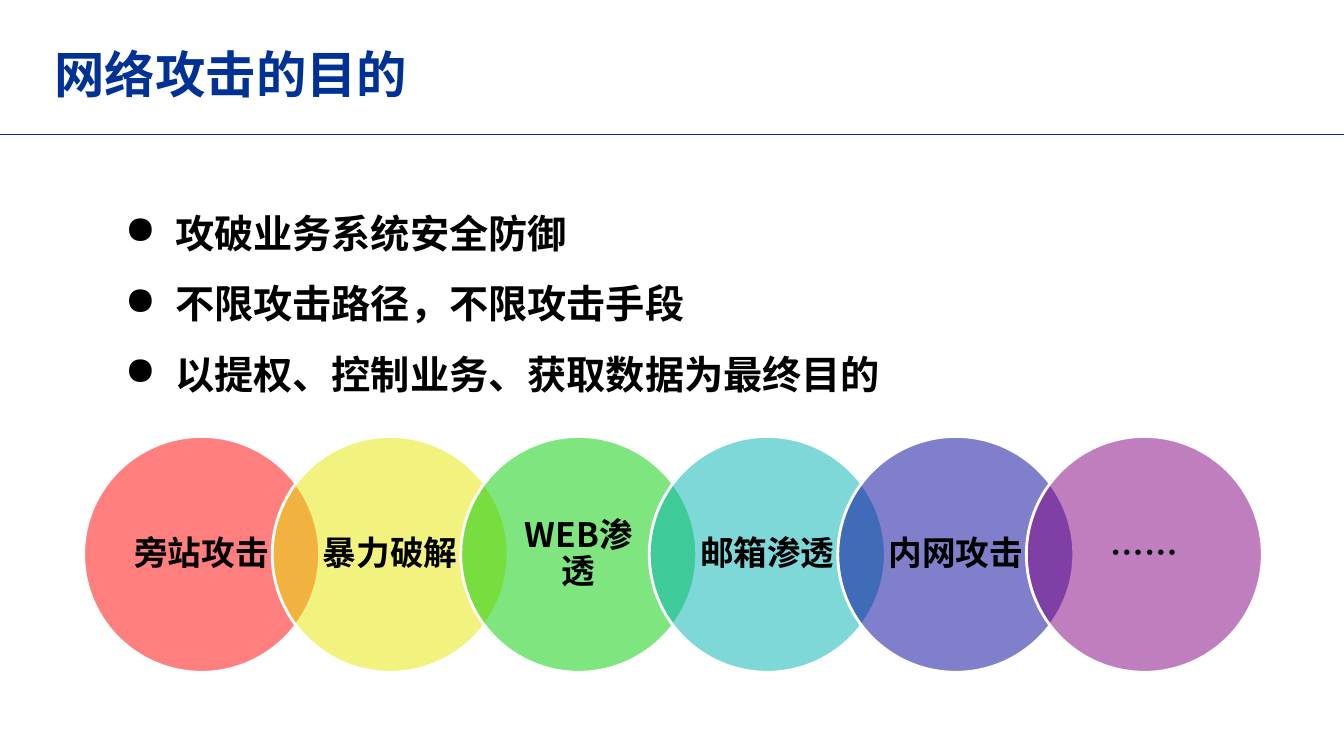
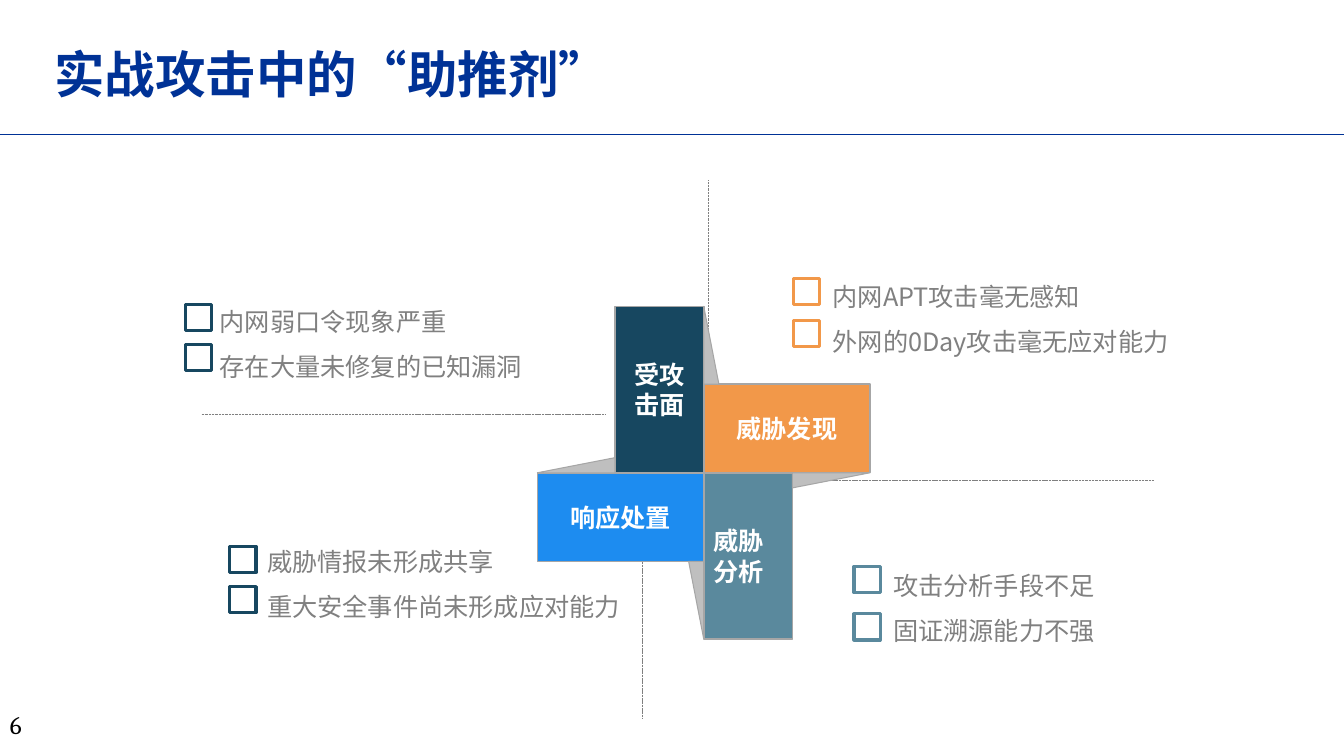
from pptx import Presentation
from pptx.dml.color import RGBColor
from pptx.enum.dml import MSO_LINE
from pptx.enum.shapes import MSO_CONNECTOR, MSO_SHAPE
from pptx.enum.text import MSO_ANCHOR, MSO_AUTO_SIZE, PP_ALIGN
from pptx.oxml.ns import qn
from pptx.util import Inches, Pt
from lxml.etree import SubElement

HUES = {
    "blue": "003296", "black": "000000", "white": "FFFFFF", "gray": "808080",
    "edge": "A6A6A6", "fold": "BFBFBF", "navy": "174760", "teal": "5A899D",
    "sky": "1D8CF0", "orange": "F29849",
    "red": "FF0000", "yellow": "E6E600", "green": "00CC00",
    "cyan": "00B3B3", "indigo": "000099", "purple": "800080",
}
SANS = "Noto Sans CJK SC"
RINGS = [("旁站攻击", "red"), ("暴力破解", "yellow"), ("WEB渗透", "green"),
         ("邮箱渗透", "cyan"), ("内网攻击", "indigo"), ("……", "purple")]
GOALS = ["攻破业务系统安全防御", "不限攻击路径，不限攻击手段",
         "以提权、控制业务、获取数据为最终目的"]
LISTS = [
    (2.08, 2.84, 3.79, ["内网弱口令现象严重", "存在大量未修复的已知漏洞"],
     1.84, (3.02, 3.42), "navy"),
    (8.16, 2.59, 4.4, ["内网APT攻击毫无感知", "外网的0Day攻击毫无应对能力"],
     7.87, (2.76, 3.18), "orange"),
    (2.55, 5.22, 3.72, ["威胁情报未形成共享", "重大安全事件尚未形成应对能力"],
     2.28, (5.42, 5.82), "navy"),
    (8.76, 5.46, 3.36, ["攻击分析手段不足", "固证溯源能力不强"],
     8.47, (5.62, 6.09), "teal"),
]
DASHES = [(2, 4.11, 6, 4.11), (7.44, 4.76, 11.44, 4.76),
          (7.02, 1.79, 7.02, 3.69), (6.37, 5.22, 6.37, 7.12)]
MID = (6.98, 4.69)
LONG, SHORT, TIP = 1.65, 0.88, 0.15


def tint(name):
    return RGBColor.from_string(HUES[name])


def write(frame, lines, size, hue, lead=None, bold=False, face=SANS,
          align=PP_ALIGN.LEFT, mark=None):
    frame.word_wrap = True
    frame.text = "\n".join(lines)
    for para in frame.paragraphs:
        if mark:
            props = para._p.get_or_add_pPr()
            props.set("marL", str(Inches(0.5)))
            props.set("indent", str(-Inches(0.5)))
            SubElement(props, qn("a:buChar")).set("char", mark)
        para.alignment = align
        if lead:
            para.line_spacing = Pt(lead)
        for run in para.runs:
            font = run.font
            font.name, font.size, font.bold = face, Pt(size), bold
            font.color.rgb = tint(hue)
            SubElement(run._r.get_or_add_rPr(), qn("a:ea")).set("typeface", face)


def label(slide, box, lines, size, hue, **style):
    area = slide.shapes.add_textbox(*map(Inches, box))
    write(area.text_frame, lines, size, hue, **style)


def paint(shape, fill, line, width):
    shape.shadow.inherit = False
    if fill:
        shape.fill.solid()
        shape.fill.fore_color.rgb = tint(fill)
    else:
        shape.fill.background()
    shape.line.color.rgb = tint(line)
    shape.line.width = Pt(width)


def block(slide, kind, box, fill, line, width):
    shape = slide.shapes.add_shape(kind, *map(Inches, box))
    paint(shape, fill, line, width)
    return shape


def rule(slide, ends, hue, width, dash=None):
    line = slide.shapes.add_connector(MSO_CONNECTOR.STRAIGHT, *map(Inches, ends))
    line.line.color.rgb = tint(hue)
    line.line.width = Pt(width)
    if dash:
        line.line.dash_style = dash
    SubElement(line._element.spPr, qn("a:effectLst"))


def start(deck, text):
    slide = deck.slides.add_slide(deck.slide_layouts[5])
    rule(slide, (0, 1.33, 13.33, 1.33), "blue", 0.5)
    title = slide.shapes.title
    title.left, title.top, title.width, title.height = map(
        Inches, (0.44, 0.43, 11.5, 0.65))
    frame = title.text_frame
    frame.auto_size = MSO_AUTO_SIZE.NONE
    frame.vertical_anchor = MSO_ANCHOR.BOTTOM
    write(frame, [text], 36, "blue", lead=43, bold=True)
    return slide


def ring(slide, left, text, hue):
    shape = block(slide, MSO_SHAPE.OVAL, (left, 4.33, 2.34, 2.34), hue, "white", 2)
    color = shape._element.spPr.find(qn("a:solidFill")).find(qn("a:srgbClr"))
    SubElement(color, qn("a:alpha")).set("val", "50000")
    frame = shape.text_frame
    frame.margin_left = frame.margin_right = Inches(0.13)
    frame.margin_top = frame.margin_bottom = Inches(0.03)
    frame.vertical_anchor = MSO_ANCHOR.MIDDLE
    write(frame, [text], 24, "black", lead=25.9, bold=True, align=PP_ALIGN.CENTER)


def tile(slide, box, text, hue, align=PP_ALIGN.CENTER):
    shape = block(slide, MSO_SHAPE.RECTANGLE, box, hue, "edge", 1.13)
    shape.text_frame.vertical_anchor = MSO_ANCHOR.MIDDLE
    write(shape.text_frame, [text], 18, "white", lead=21.6, bold=True, align=align)


def fold(slide, points):
    first, *rest = [(Inches(x), Inches(y)) for x, y in points]
    path = slide.shapes.build_freeform(*first)
    path.add_line_segments(rest, close=True)
    paint(path.convert_to_shape(), "fold", "edge", 0.75)


def wheel(slide):
    x, y = MID
    tile(slide, (x - SHORT, y - LONG, SHORT, LONG), "受攻击面", "navy")
    tile(slide, (x, y, SHORT, LONG), "威胁分析", "teal", PP_ALIGN.LEFT)
    tile(slide, (x - LONG, y, LONG, SHORT), "响应处置", "sky")
    tile(slide, (x, y - SHORT, LONG, SHORT), "威胁发现", "orange")
    corner = [(0, -LONG), (TIP, -SHORT), (0, -SHORT)]
    for _ in range(4):
        fold(slide, [(x + dx, y + dy) for dx, dy in corner])
        corner = [(-dy, dx) for dx, dy in corner]


def aims(deck):
    slide = start(deck, "网络攻击的目的")
    label(slide, (1.14, 1.79, 11.47, 2.22), GOALS, 28, "black",
          lead=50.4, bold=True, mark="●")
    for i, (text, hue) in enumerate(RINGS):
        ring(slide, 0.83 + 1.87 * i, text, hue)


def boosts(deck):
    slide = start(deck, "实战攻击中的“助推剂”")
    for ends in DASHES:
        rule(slide, ends, "gray", 0.25, MSO_LINE.SQUARE_DOT)
    for left, top, width, lines, side, tops, hue in LISTS:
        label(slide, (left, top, width, 1), lines, 18, "gray", lead=32.4)
        for edge in tops:
            block(slide, MSO_SHAPE.RECTANGLE, (side, edge, 0.26, 0.26),
                  None, hue, 2.25)
    wheel(slide)
    label(slide, (0, 6.99, 0.62, 0.4), ["6"], 18, "black", face="Cambria")


def main():
    deck = Presentation()
    deck.slide_width, deck.slide_height = Inches(13.33), Inches(7.5)
    aims(deck)
    boosts(deck)
    deck.save("out.pptx")


if __name__ == "__main__":
    main()
